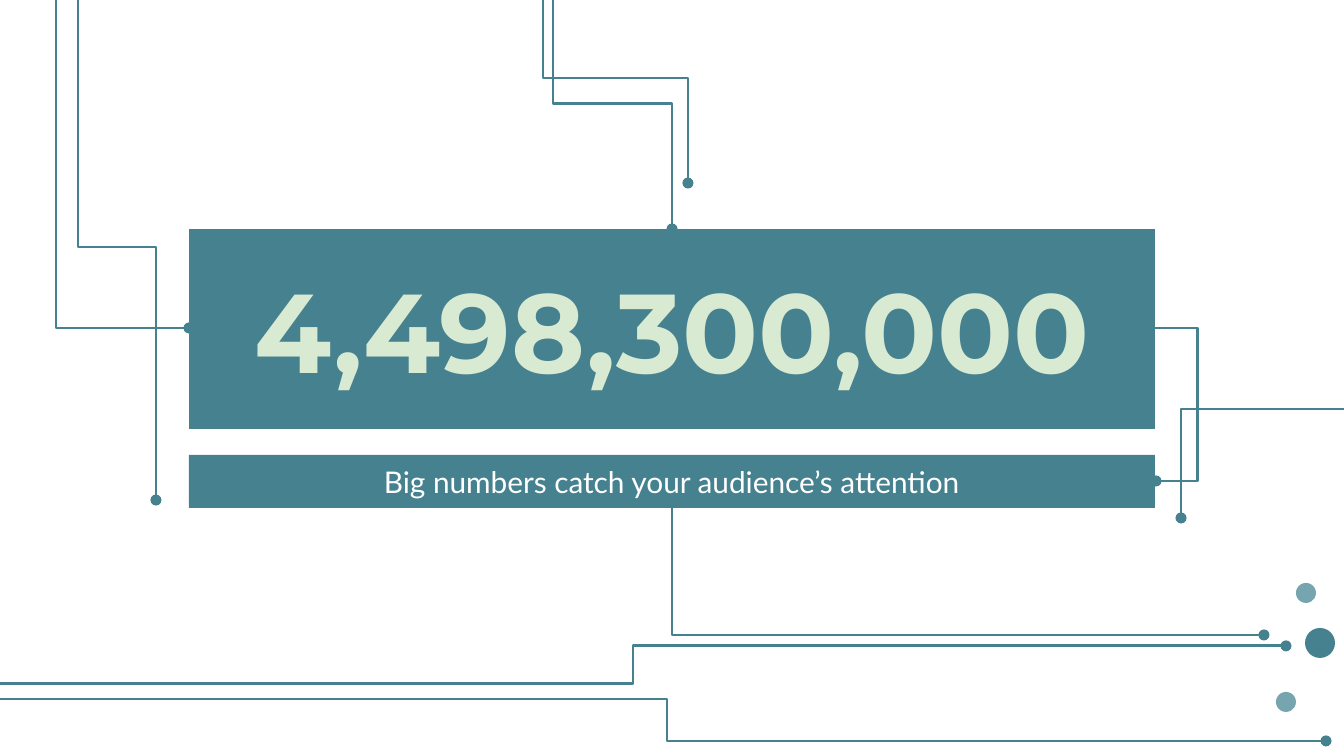
"""Build a big-number slide framed by circuit-like traces."""
from dataclasses import dataclass

from lxml.etree import SubElement
from pptx import Presentation
from pptx.dml.color import RGBColor
from pptx.enum.shapes import MSO_CONNECTOR, MSO_SHAPE
from pptx.enum.text import MSO_ANCHOR, MSO_AUTO_SIZE, PP_ALIGN
from pptx.oxml.ns import qn
from pptx.util import Emu, Inches, Pt

COLORS = {"teal": "45818E", "mist": "76A5AF", "mint": "D9EAD3", "white": "FFFFFF"}
EMU_PER_PX = 914400 / 134.4


@dataclass(frozen=True)
class Trace:
    start: tuple[int, int]
    end: tuple[int, int]
    vertical_first: bool = False
    corner: bool = False
    bend: float = 0.5


@dataclass(frozen=True)
class Dot:
    left: int
    top: int
    size: int
    color: str


@dataclass(frozen=True)
class Panel:
    left: int
    top: int
    width: int
    height: int


TRACES = [
    Trace((56, -28), (189, 328), vertical_first=True, corner=True),
    Trace((78, -6), (156, 500), vertical_first=True),
    Trace((1365, 300), (1181, 518), vertical_first=True),
    Trace((-19, 699), (1326, 741), bend=0.51),
    Trace((-20, 684), (1286, 646)),
    Trace((553, -22), (672, 229), vertical_first=True),
    Trace((1155, 328), (1156, 481), bend=42),
    Trace((672, 508), (1264, 635), vertical_first=True, corner=True),
    Trace((543, -27), (688, 183), vertical_first=True),
]
DOTS = [
    Dot(1305, 628, 30, "teal"),
    Dot(1276, 692, 20, "mist"),
    Dot(1296, 583, 20, "mist"),
]
NUMBER_PANEL = Panel(189, 229, 966, 200)
CAPTION_PANEL = Panel(189, 455, 966, 53)


def px(length: float) -> Emu:
    return Emu(round(length * EMU_PER_PX))


def color(name: str) -> RGBColor:
    return RGBColor.from_string(COLORS[name])


def turn_upright(connector, trace: Trace) -> None:
    (x1, y1), (x2, y2) = trace.start, trace.end
    width, height = abs(y2 - y1), abs(x2 - x1)
    connector.left = px((x1 + x2 - width) / 2)
    connector.top = px((y1 + y2 - height) / 2)
    connector.width, connector.height = px(width), px(height)
    transform = connector._element.spPr.find(qn("a:xfrm"))
    rightward = x2 > x1
    transform.set("rot", str((270 if rightward else 90) * 60000))
    transform.set("flipH", str(int(rightward)))
    transform.set("flipV", "0")


def draw_trace(page, trace: Trace) -> None:
    connector = page.shapes.add_connector(
        MSO_CONNECTOR.ELBOW, *map(px, trace.start + trace.end)
    )
    if trace.vertical_first:
        turn_upright(connector, trace)
    connector.line.color.rgb = color("teal")
    connector.line.width = Pt(1.5)
    properties = connector._element.spPr
    geometry = properties.find(qn("a:prstGeom"))
    if trace.corner:
        geometry.set("prst", "bentConnector2")
    else:
        guides = geometry.find(qn("a:avLst"))
        if guides is None:
            guides = SubElement(geometry, qn("a:avLst"))
        SubElement(guides, qn("a:gd"), name="adj1", fmla=f"val {round(trace.bend * 100000)}")
    outline = properties.find(qn("a:ln"))
    SubElement(outline, qn("a:round"))
    SubElement(outline, qn("a:tailEnd"), type="oval", w="med", len="med")
    SubElement(properties, qn("a:effectLst"))


def draw_dot(page, dot: Dot) -> None:
    shape = page.shapes.add_shape(
        MSO_SHAPE.OVAL, px(dot.left), px(dot.top), px(dot.size), px(dot.size)
    )
    shape.shadow.inherit = False
    shape.fill.solid()
    shape.fill.fore_color.rgb = color(dot.color)
    shape.line.fill.background()


def write_panel(
    box, panel: Panel, text: str, *, font: str, size: int, ink: str, bold: bool = False
) -> None:
    box.left, box.top = px(panel.left), px(panel.top)
    box.width, box.height = px(panel.width), px(panel.height)
    box.fill.solid()
    box.fill.fore_color.rgb = color("teal")
    box.line.fill.background()
    frame = box.text_frame
    frame.word_wrap = True
    frame.auto_size = MSO_AUTO_SIZE.NONE
    frame.vertical_anchor = MSO_ANCHOR.MIDDLE
    frame.margin_left = frame.margin_right = Inches(0.1)
    frame.margin_top = frame.margin_bottom = Inches(0.1)
    para = frame.paragraphs[0]
    para.alignment = PP_ALIGN.CENTER
    span = para.add_run()
    span.text = text
    span.font.name = font
    span.font.size = Pt(size)
    span.font.bold = bold
    span.font.color.rgb = color(ink)


def main() -> None:
    deck = Presentation()
    deck.slide_width, deck.slide_height = px(1344), px(756)
    page = deck.slides.add_slide(deck.slide_layouts[5])
    write_panel(
        page.shapes.title, NUMBER_PANEL, "4,498,300,000",
        font="Montserrat", size=60, ink="mint", bold=True,
    )
    caption = page.shapes.add_shape(MSO_SHAPE.RECTANGLE, 0, 0, 0, 0)
    caption.shadow.inherit = False
    write_panel(
        caption, CAPTION_PANEL, "Big numbers catch your audience’s attention",
        font="Lato", size=16, ink="white",
    )
    for trace in TRACES:
        draw_trace(page, trace)
    for dot in DOTS:
        draw_dot(page, dot)
    deck.save("out.pptx")


if __name__ == "__main__":
    main()
